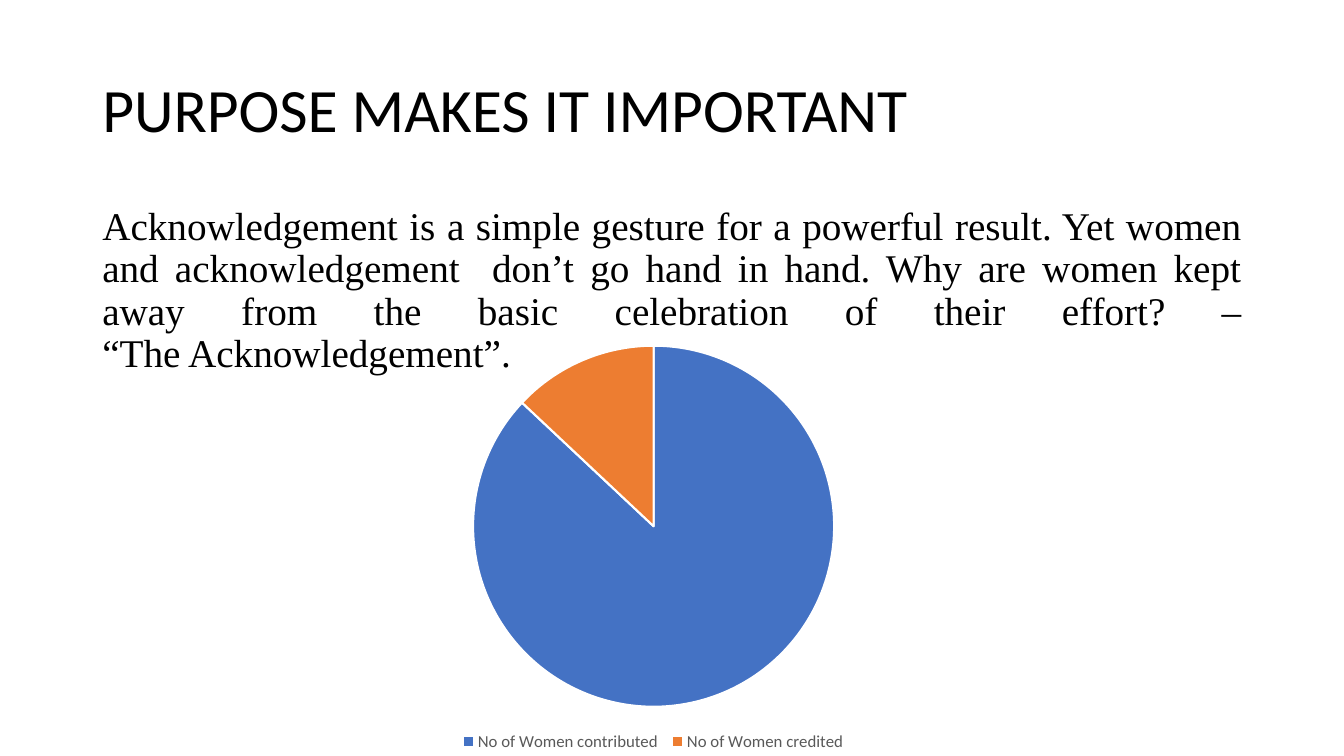
from pptx import Presentation
from pptx.chart.data import CategoryChartData
from pptx.dml.color import RGBColor
from pptx.enum.chart import XL_CHART_TYPE, XL_LEGEND_POSITION
from pptx.enum.text import MSO_ANCHOR, PP_ALIGN
from pptx.util import Pt

PX = 9525
BLACK = RGBColor(0x00, 0x00, 0x00)
WHITE = RGBColor(0xFF, 0xFF, 0xFF)
GREY = RGBColor(0x59, 0x59, 0x59)
BLUE = RGBColor(0x44, 0x72, 0xC4)
ORANGE = RGBColor(0xED, 0x7D, 0x31)


def apply(target, values):
    """Set every attribute of the target from a dict of format values."""
    for name, value in values.items():
        setattr(target, name, value)


class SlideBuilder:
    """Hold the fonts and the current slide, and add elements to it."""

    heading_font = {"name": "Calibri", "size": Pt(44)}
    body_font = {"name": "Times New Roman", "size": Pt(28)}
    legend_font = {"name": "Calibri", "size": Pt(12)}

    def __init__(self, page):
        """Keep the page to draw on."""
        self.page = page

    def place(self, *lengths):
        """Turn lengths in px into EMU."""
        return [length * PX for length in lengths]

    def text(self, area, lines, font, para_format, anchor):
        """Add a text box with one paragraph, its lines split by breaks."""
        box = self.page.shapes.add_textbox(*self.place(*area))
        apply(box.text_frame, {"word_wrap": True, "vertical_anchor": anchor})
        para = box.text_frame.paragraphs[0]
        apply(para, {"line_spacing": 0.9, **para_format})
        for index, line in enumerate(lines):
            if index:
                para.add_line_break()
            span = para.add_run()
            span.text = line
            apply(span.font, font)
            span.font.color.rgb = BLACK

    def pie(self, area, name, slices):
        """Add a pie chart with a legend below from (label, value, colour) rows."""
        labels, values, colours = zip(*slices)
        data = CategoryChartData()
        data.categories = labels
        data.add_series(name, values)
        frame = self.page.shapes.add_chart(XL_CHART_TYPE.PIE, *self.place(*area), data)
        chart = frame.chart
        apply(chart, {"has_title": False, "has_legend": True})
        apply(chart.font, {"name": "Calibri", "size": Pt(10)})
        apply(chart.legend, {"position": XL_LEGEND_POSITION.BOTTOM, "include_in_layout": False})
        apply(chart.legend.font, self.legend_font)
        chart.legend.font.color.rgb = GREY
        plot = chart.plots[0]
        plot.vary_by_categories = True
        for index, colour in enumerate(colours):
            style = plot.series[0].points[index].format
            style.fill.solid()
            style.fill.fore_color.rgb = colour
            style.line.color.rgb = WHITE
            style.line.width = Pt(1.5)


def main():
    """Build the slide and save it."""
    deck = Presentation()
    apply(deck, {"slide_width": 1280 * PX, "slide_height": 720 * PX})
    builder = SlideBuilder(deck.slides.add_slide(deck.slide_layouts[6]))
    builder.text(
        (88, 38, 1104, 139),
        ["PURPOSE MAKES IT IMPORTANT"],
        builder.heading_font,
        {"alignment": PP_ALIGN.LEFT},
        MSO_ANCHOR.MIDDLE,
    )
    builder.text(
        (88, 192, 1104, 457),
        [
            "Acknowledgement is a simple gesture for a powerful result. Yet women and "
            "acknowledgement  don’t go hand in hand. Why are women kept away from the "
            "basic celebration of their effort? –",
            "“The Acknowledgement”. ",
        ],
        builder.body_font,
        {"alignment": PP_ALIGN.JUSTIFY, "space_before": Pt(10)},
        MSO_ANCHOR.TOP,
    )
    builder.pie(
        (213, 316, 819, 404),
        "Series 1",
        [
            ("No of Women contributed ", 87, BLUE),
            ("No of Women credited", 13, ORANGE),
        ],
    )
    deck.save("out.pptx")


if __name__ == "__main__":
    main()
